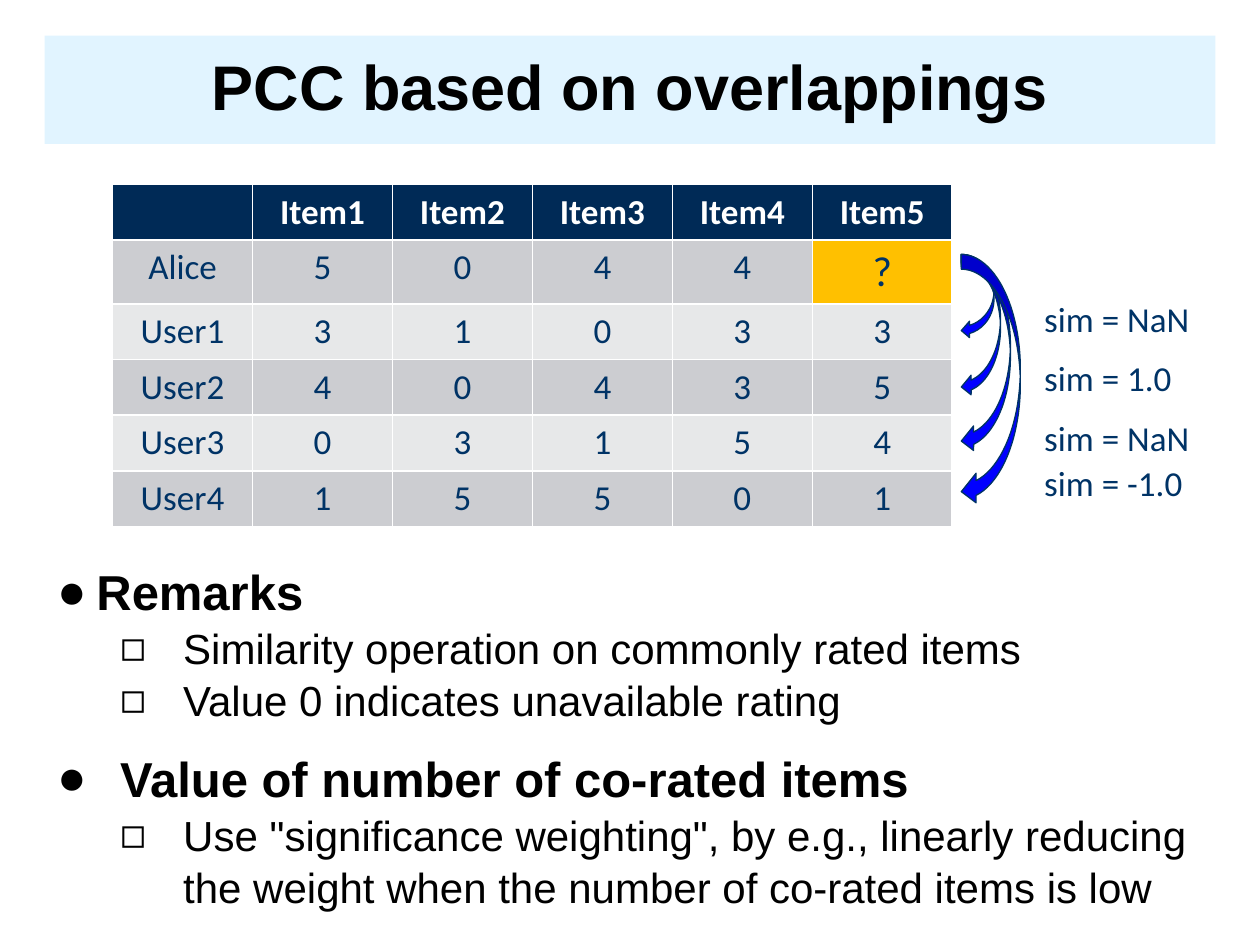
import pptx
import pptx.util
import pptx.dml.color
import pptx.enum.shapes
import pptx.enum.text
import pptx.oxml.ns
import lxml.etree

Cm = pptx.util.Cm
Pt = pptx.util.Pt
ALIGN = pptx.enum.text.PP_ALIGN
FIT = pptx.enum.text.MSO_AUTO_SIZE
ANCHOR = pptx.enum.text.MSO_ANCHOR
SHAPE = pptx.enum.shapes.MSO_SHAPE

GRID = [
    ["", "Item1", "Item2", "Item3", "Item4", "Item5"],
    ["Alice", "5", "0", "4", "4", "?"],
    ["User1", "3", "1", "0", "3", "3"],
    ["User2", "4", "0", "4", "3", "5"],
    ["User3", "0", "3", "1", "5", "4"],
    ["User4", "1", "5", "5", "0", "1"],
]
SIMS = [
    ("sim = NaN", 0.74, 0.66, 1.7),
    ("sim = 1.0", 1.93, 0.79, 2.87),
    ("sim = NaN", 3.15, 0.99, 4.01),
    ("sim = -1.0", 4.04, 1.19, 5.08),
]
NOTES = [
    (0, "Remarks", 0.79, 0.79, 0),
    (1, "Similarity operation on commonly rated items", 2.54, 1.27, 0),
    (1, "Value 0 indicates unavailable rating", 2.54, 1.27, 0),
    (0, "Value of number of co-rated items", 1.27, 1.27, 12),
    (1, 'Use "significance weighting", by e.g., linearly reducing \v'
        "the weight when the number of co-rated items is low", 2.54, 1.27, 0),
]


def paint(part, tint):
    part.solid()
    part.fore_color.rgb = pptx.dml.color.RGBColor.from_string(tint)


def style(para, size, tint, face, bold=False):
    for run in para.runs:
        run.font.size = Pt(size)
        run.font.name = face
        run.font.bold = bold
        paint(run.font.fill, tint)


def place(shape, box):
    shape.left, shape.top, shape.width, shape.height = map(Cm, box)


def add_head(slide, box):
    head = slide.shapes.title
    place(head, box)
    paint(head.fill, "E1F4FF")
    frame = head.text_frame
    frame.text = "PCC based on overlappings"
    frame.auto_size = FIT.NONE
    frame.vertical_anchor = ANCHOR.MIDDLE
    para = frame.paragraphs[0]
    para.alignment = ALIGN.CENTER
    para.line_spacing = 0.9
    style(para, 36, "000000", "Arial", True)


def add_grid(slide, box):
    table = slide.shapes.add_table(len(GRID), len(GRID[0]), *map(Cm, box)).table
    for col in table.columns:
        col.width = Cm(box[2] / len(GRID[0]))
    for i, row in enumerate(GRID):
        table.rows[i].height = Cm(1.29 if i == 1 else 1.12)
        for j, text in enumerate(row):
            cell = table.cell(i, j)
            cell.text = text
            para = cell.text_frame.paragraphs[0]
            para.alignment = ALIGN.CENTER
            size, ink = 20, "003366"
            fill = "CCCDD1" if i % 2 else "E7E8E9"
            if i == 0:
                fill, ink = "002A56", "FFFFFF"
            elif text == "?":
                fill, size = "FFC000", 24
            paint(cell.fill, fill)
            style(para, size, ink, "Calibri", i == 0)


def add_sims(slide, box):
    x, y, w, h = box
    for text, drop, wide, high in SIMS:
        arrow = slide.shapes.add_shape(
            SHAPE.CURVED_LEFT_ARROW, Cm(x), Cm(y), Cm(wide), Cm(high))
        arrow.shadow.inherit = False
        paint(arrow.fill, "0000FF")
        paint(arrow.line.fill, "003366")
        arrow.line.width = Pt(0.75)
        label = slide.shapes.add_textbox(
            Cm(x + 1.42), Cm(y + drop), Cm(w - 1.42), Cm(1.12))
        frame = label.text_frame
        frame.text = text
        frame.word_wrap = False
        style(frame.paragraphs[0], 20, "003366", "Calibri")


def add_mark(para, left, hang, mark):
    props = para._p.get_or_add_pPr()
    props.set("marL", str(Cm(left)))
    props.set("indent", str(-Cm(hang)))
    tag = pptx.oxml.ns.qn("a:buChar")
    lxml.etree.SubElement(props, tag).set("char", mark)


def add_notes(slide, box):
    body = slide.placeholders[1]
    place(body, box)
    frame = body.text_frame
    frame.auto_size = FIT.NONE
    frame.word_wrap = False
    for i, (level, text, left, hang, gap) in enumerate(NOTES):
        para = frame.add_paragraph() if i else frame.paragraphs[0]
        para.text = text
        para.level = level
        para.space_before = Pt(gap)
        para.line_spacing = 1.04
        add_mark(para, left, hang, "◻" if level else "●")
        style(para, 24 if level else 28, "000000", "Arial", level == 0)


def main():
    deck = pptx.Presentation()
    deck.slide_width, deck.slide_height = Cm(25.4), Cm(19.05)
    slide = deck.slides.add_slide(deck.slide_layouts[1])
    add_head(slide, (0.9, 0.72, 23.6, 2.18))
    add_grid(slide, (2.27, 3.72, 16.93, 6.89))
    add_sims(slide, (19.38, 5.13, 4.88, 5.08))
    add_notes(slide, (0.9, 11.15, 23.75, 7.19))
    deck.save("out.pptx")


if __name__ == "__main__":
    main()
